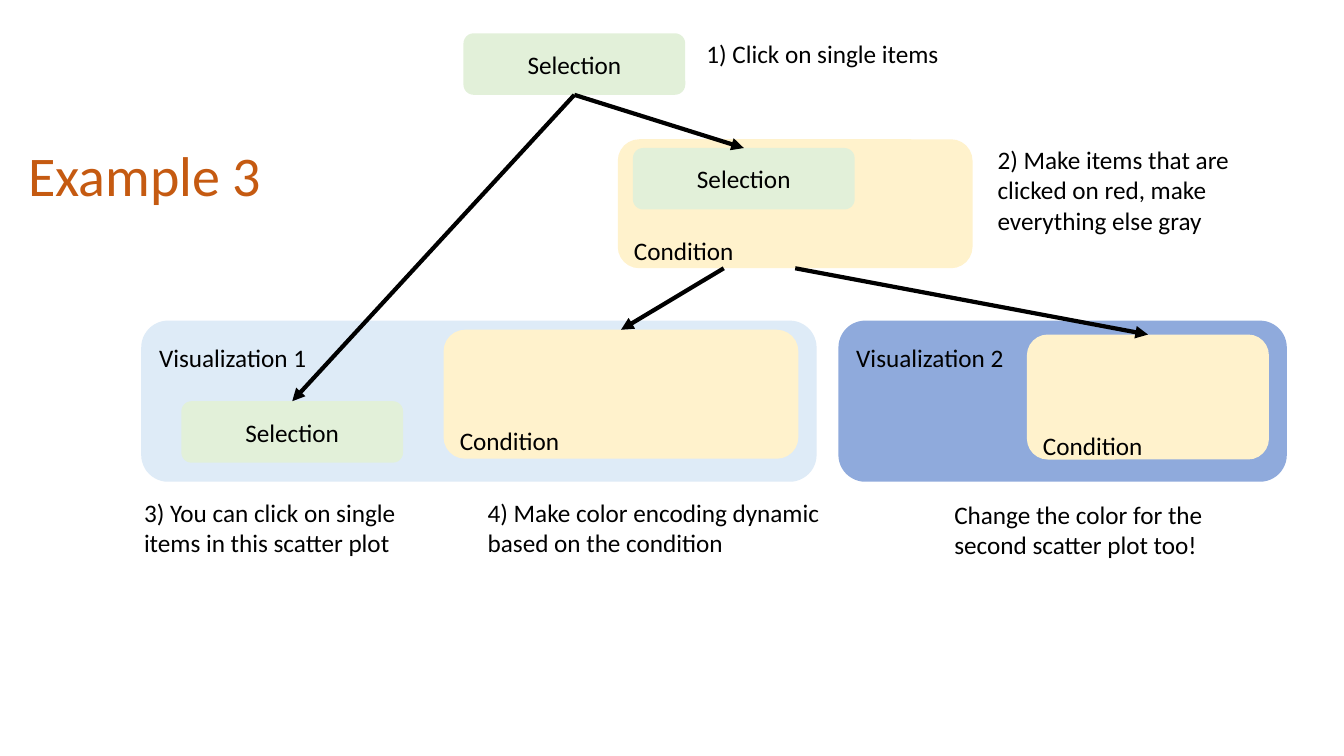
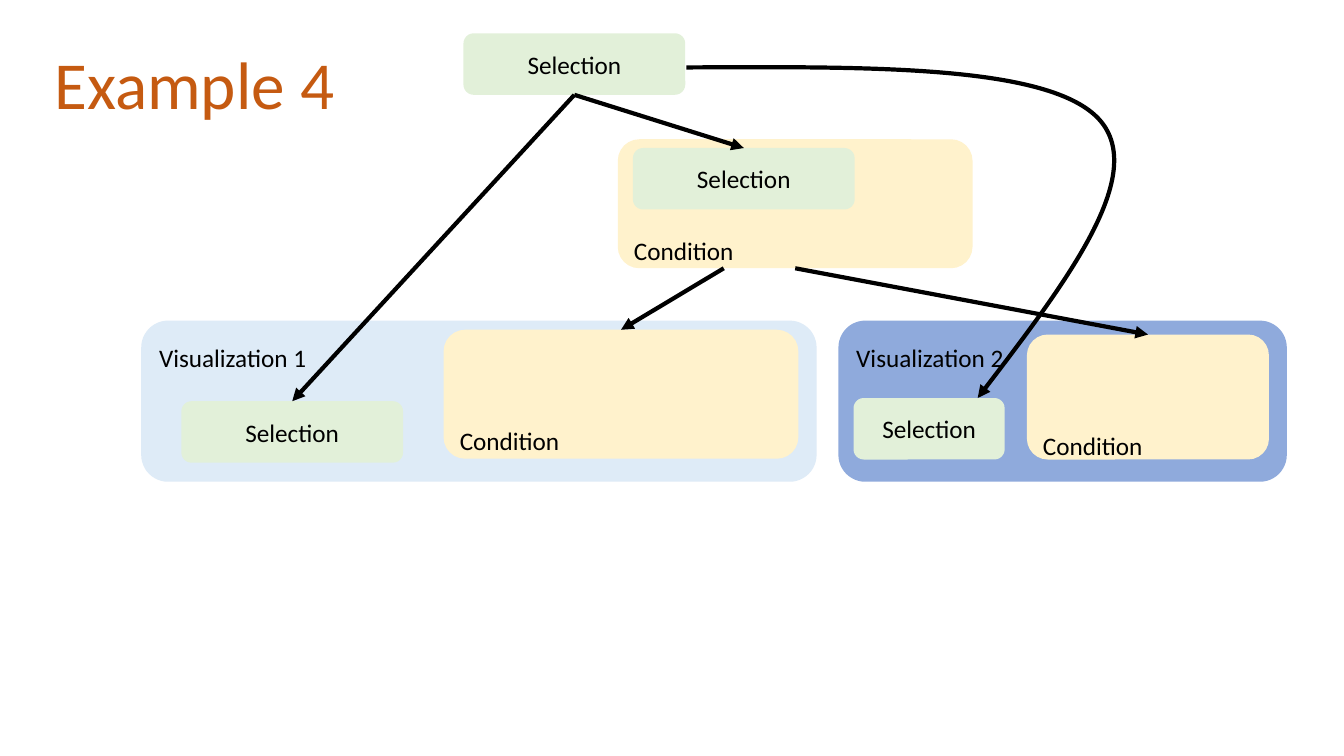
"""Build two slides showing how selections and conditions drive visualizations."""
from lxml.etree import SubElement
from pptx import Presentation
from pptx.dml.color import RGBColor
from pptx.enum.shapes import MSO_CONNECTOR as CONN, MSO_SHAPE as SHAPE
from pptx.enum.text import MSO_ANCHOR as ANCHOR, MSO_AUTO_SIZE as AUTO, PP_ALIGN as ALIGN
from pptx.oxml.ns import qn
from pptx.util import Cm, Pt

COLORS = {"text": "000000", "title": "C55A11", "selection": "E2F0D9",
          "condition": "FFF2CC", "vis1": "DEEBF7", "vis2": "8FAADC"}
FONT = "Calibri"
TOP, BOTTOM = 0, 2

KINDS = {
    "Selection": {"align": ALIGN.CENTER, "anchor": ANCHOR.MIDDLE},
    "Condition": {"top": 2.25},
    "Visualization 1": {"top": 0.36},
    "Visualization 2": {"top": 0.36},
}
BOXES = [
    ("vis1", "Visualization 1", "vis1", (3.56, 8.08, 17.02, 4.06)),
    ("vis2", "Visualization 2", "vis2", (21.13, 8.08, 11.3, 4.06)),
    ("condition", "Condition", "condition", (15.57, 3.51, 8.94, 3.25)),
    ("condition1", "Condition", "condition", (11.18, 8.31, 8.94, 3.25)),
    ("condition2", "Condition", "condition", (25.88, 8.43, 6.1, 3.15)),
    ("selection", "Selection", "selection", (11.68, 0.84, 5.59, 1.55)),
    ("nested", "Selection", "selection", (15.95, 3.73, 5.59, 1.55)),
    ("selection1", "Selection", "selection", (4.57, 10.11, 5.59, 1.55)),
]
SELECTION2 = ("selection2", "Selection", "selection", (21.51, 10.03, 3.81, 1.55))
ARROWS = [("selection", "nested"), ("selection", "selection1"),
          ("condition", "condition2"), (None, "condition1")]
FREE_START = (18.24, 6.76)
NOTES = [
    ("1) Click on single items", (17.55, 0.84, 7.8, 1.02)),
    ("2) Make items that are clicked on red, make everything else gray", (24.89, 3.51, 8, 2.57)),
    ("3) You can click on single items in this scatter plot", (3.38, 12.4, 8, 2.57)),
    ("4) Make color encoding dynamic based on the condition", (12.04, 12.4, 10.06, 2.57)),
    ("Change the color for the second scatter plot too!", (23.8, 12.45, 8.66, 1.8)),
]
CURVE = [(17.3, 1.7), (21.89, 1.68), (26.47, 1.63), (27.71, 3.02),
         (28.93, 4.39), (26.8, 7.21), (24.64, 10.03)]
SLIDES = [
    {"title": "Example 3", "at": (0.46, 3.4, 14.1, 1.96), "size": 40,
     "boxes": BOXES, "notes": NOTES, "curve": []},
    {"title": "Example 4", "at": (1.12, 0.94, 9.6, 2.31), "size": 48,
     "boxes": BOXES + [SELECTION2], "notes": [], "curve": CURVE},
]


def write(sp, text, size=18, color="text", align=ALIGN.LEFT, anchor=ANCHOR.TOP, top=0.13):
    tf = sp.text_frame
    tf.auto_size = AUTO.NONE
    tf.word_wrap = True
    tf.vertical_anchor = anchor
    tf.margin_left = tf.margin_right = Cm(0.25)
    tf.margin_top = Cm(top)
    tf.margin_bottom = Cm(0.13) if anchor == ANCHOR.MIDDLE else 0
    p = tf.paragraphs[0]
    p.alignment = align
    r = p.add_run()
    r.text = text
    r.font.name = FONT
    r.font.size = Pt(size)
    r.font.color.rgb = RGBColor.from_string(COLORS[color])


def make_arrow(sp):
    sp.line.color.rgb = RGBColor.from_string(COLORS["text"])
    sp.line.width = Pt(3)
    SubElement(sp.line._get_or_add_ln(), qn("a:tailEnd"), type="triangle")
    SubElement(sp._element.spPr, qn("a:effectLst"))


prs = Presentation()
prs.slide_width, prs.slide_height = Cm(33.87), Cm(19.05)

for spec_row in SLIDES:
    s = prs.slides.add_slide(prs.slide_layouts[5])
    title = s.shapes.title
    title.left, title.top, title.width, title.height = map(Cm, spec_row["at"])
    write(title, spec_row["title"], size=spec_row["size"], color="title")

    boxes = {}
    for name, label, fill, at in spec_row["boxes"]:
        sp = s.shapes.add_shape(SHAPE.ROUNDED_RECTANGLE, *map(Cm, at))
        sp.shadow.inherit = False
        sp.fill.solid()
        sp.fill.fore_color.rgb = RGBColor.from_string(COLORS[fill])
        sp.line.fill.background()
        write(sp, label, **KINDS[label])
        boxes[name] = sp

    for start, end in ARROWS:
        x, y = map(Cm, FREE_START)
        arrow = s.shapes.add_connector(CONN.STRAIGHT, x, y, x, y)
        if start:
            arrow.begin_connect(boxes[start], BOTTOM)
        arrow.end_connect(boxes[end], TOP)
        make_arrow(arrow)

    for text, at in spec_row["notes"]:
        write(s.shapes.add_textbox(*map(Cm, at)), text)

    if spec_row["curve"]:
        points = [(Cm(x), Cm(y)) for x, y in spec_row["curve"]]
        builder = s.shapes.build_freeform(*points[0])
        builder.add_line_segments(points[1:], close=False)
        curve = builder.convert_to_shape()
        curve.fill.background()
        segments = list(curve._element.iter(qn("a:lnTo")))
        for i in range(0, len(segments), 3):
            segments[i].tag = qn("a:cubicBezTo")
            for extra in segments[i + 1:i + 3]:
                segments[i].append(extra[0])
                extra.getparent().remove(extra)
        make_arrow(curve)

prs.save("out.pptx")
